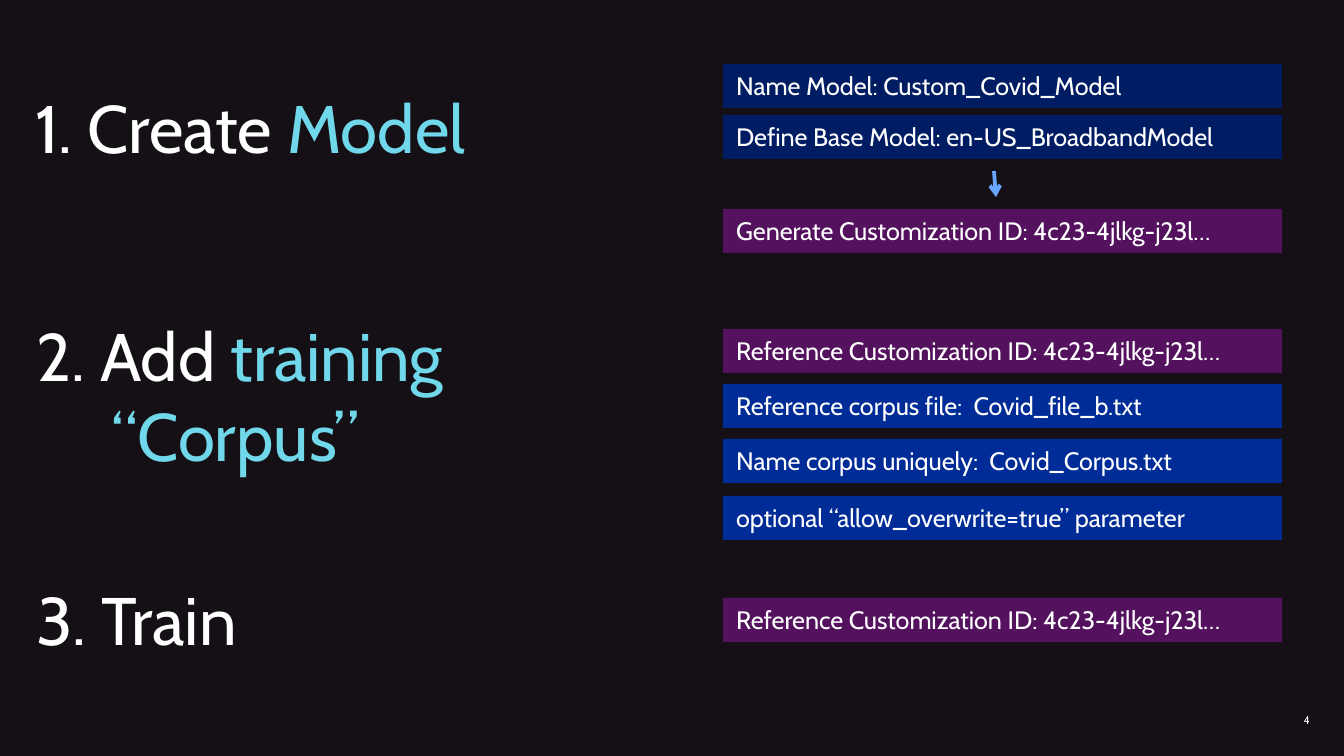
from dataclasses import dataclass

import pptx
import pptx.dml.color
import pptx.enum.shapes
import pptx.enum.text
import pptx.oxml
import pptx.oxml.ns
import pptx.util

RGB = pptx.dml.color.RGBColor
BACKGROUND = RGB(0x14, 0x10, 0x15)
WHITE = RGB(0xFF, 0xFF, 0xFF)
CYAN = RGB(0x71, 0xD7, 0xEA)
NAVY = RGB(0x00, 0x1D, 0x64)
BLUE = RGB(0x00, 0x2C, 0x97)
PURPLE = RGB(0x53, 0x11, 0x5E)
ARROW_BLUE = RGB(0x69, 0xA6, 0xFF)

FONT = "Cabin"
EMU_PER_PX = 914400 / 134.4
BAR_LEFT, BAR_WIDTH, BAR_HEIGHT = 723, 559, 44
STEP_LEFT, STEP_WIDTH = 34, 517
CUSTOM_ID = "Customization ID: 4c23-4jlkg-j23l…"

ALIGN = pptx.enum.text.PP_ALIGN
ANCHOR = pptx.enum.text.MSO_ANCHOR


@dataclass(frozen=True)
class Step:
    top: int
    height: int
    text: str
    accent: str = ""
    margin: int = 77
    indent: int = -75


@dataclass(frozen=True)
class Bar:
    top: int
    text: str
    fill: RGB


STEPS = [
    Step(86, 145, "1. Create ", "Model", margin=0, indent=1),
    Step(314, 99, "2. Add ", "training “Corpus”"),
    Step(578, 99, "3. Train"),
]

BARS = [
    Bar(64, "Name Model: Custom_Covid_Model", NAVY),
    Bar(115, "Define Base Model: en-US_BroadbandModel", NAVY),
    Bar(209, f"Generate {CUSTOM_ID}", PURPLE),
    Bar(329, f"Reference {CUSTOM_ID}", PURPLE),
    Bar(384, "Reference corpus file:  Covid_file_b.txt", BLUE),
    Bar(439, "Name corpus uniquely:  Covid_Corpus.txt", BLUE),
    Bar(496, "optional “allow_overwrite=true” parameter", BLUE),
    Bar(598, f"Reference {CUSTOM_ID}", PURPLE),
]


def px(n: int) -> pptx.util.Emu:
    return pptx.util.Emu(round(n * EMU_PER_PX))


def box(left: int, top: int, width: int, height: int) -> list:
    return [px(n) for n in (left, top, width, height)]


def set_attributes(target, values: dict) -> None:
    for name, value in values.items():
        setattr(target, name, value)


def add_run(p, text: str, size: float, color: RGB = WHITE) -> None:
    r = p.add_run()
    r.text = text
    set_attributes(r.font, {"name": FONT, "size": pptx.util.Pt(size), "bold": False})
    r.font.color.rgb = color


def plain_frame(sp, anchor):
    """Give the shape an unpadded, wrapping text frame and return it."""
    tf = sp.text_frame
    set_attributes(tf, {
        "margin_left": 0, "margin_top": 0, "margin_right": 0, "margin_bottom": 0,
        "word_wrap": True, "vertical_anchor": anchor,
        "auto_size": pptx.enum.text.MSO_AUTO_SIZE.NONE,
    })
    return tf


def write_step(sp, step: Step) -> None:
    p = plain_frame(sp, ANCHOR.TOP).paragraphs[0]
    set_attributes(p, {"alignment": ALIGN.LEFT, "line_spacing": 1.0,
                       "space_before": pptx.util.Pt(0)})
    pPr = p._p.get_or_add_pPr()
    pPr.set("marL", str(px(step.margin)))
    pPr.set("indent", str(px(step.indent)))
    add_run(p, step.text, 36)
    if step.accent:
        add_run(p, step.accent, 36, CYAN)


def add_bar(s, bar: Bar) -> None:
    sp = s.shapes.add_shape(pptx.enum.shapes.MSO_SHAPE.RECTANGLE,
                            *box(BAR_LEFT, bar.top, BAR_WIDTH, BAR_HEIGHT))
    sp.shadow.inherit = False
    sp.fill.solid()
    sp.fill.fore_color.rgb = bar.fill
    sp.line.fill.background()
    set_attributes(sp.text_frame, {"word_wrap": True, "vertical_anchor": ANCHOR.TOP})
    p = sp.text_frame.paragraphs[0]
    p.alignment = ALIGN.LEFT
    add_run(p, bar.text, 13.5)


def add_arrow(s, x1: int, y1: int, x2: int, y2: int) -> None:
    line = s.shapes.add_connector(pptx.enum.shapes.MSO_CONNECTOR.STRAIGHT,
                                  *box(x1, y1, x2, y2))
    line.line.color.rgb = ARROW_BLUE
    line.line.width = pptx.util.Pt(2)
    ln = line.line._get_or_add_ln()
    ln.append(pptx.oxml.parse_xml(
        f'<a:tailEnd {pptx.oxml.ns.nsdecls("a")} type="arrow"/>'))
    line._element.spPr.append(pptx.oxml.parse_xml(
        f'<a:effectLst {pptx.oxml.ns.nsdecls("a")}/>'))


def add_page_number(s, number: int) -> None:
    sp = s.shapes.add_textbox(*box(1008, 710, 302, 20))
    p = plain_frame(sp, ANCHOR.MIDDLE).paragraphs[0]
    p.alignment = ALIGN.RIGHT
    add_run(p, str(number), 6)


def main() -> None:
    prs = pptx.Presentation()
    set_attributes(prs, {"slide_width": px(1344), "slide_height": px(756)})
    s = prs.slides.add_slide(prs.slide_layouts.get_by_name("Title Only"))
    s.background.fill.solid()
    s.background.fill.fore_color.rgb = BACKGROUND

    for i, step in enumerate(STEPS):
        place = box(STEP_LEFT, step.top, STEP_WIDTH, step.height)
        if i == 0:
            sp = s.shapes.title
            set_attributes(sp, dict(zip(("left", "top", "width", "height"), place)))
        else:
            sp = s.shapes.add_textbox(*place)
        write_step(sp, step)

    for bar in BARS:
        add_bar(s, bar)
    add_arrow(s, 994, 171, 996, 197)
    add_page_number(s, 4)
    prs.save("out.pptx")


if __name__ == "__main__":
    main()
